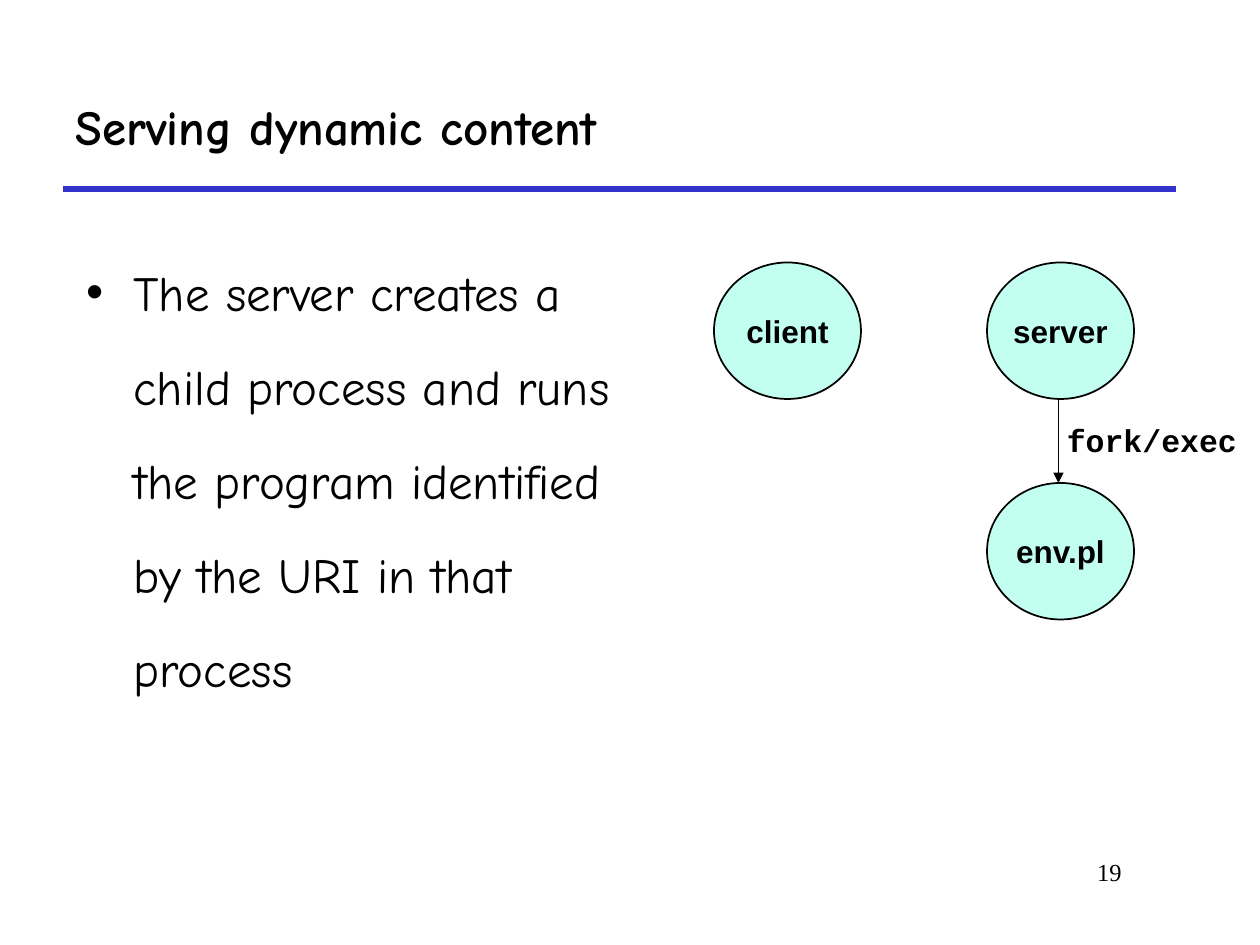
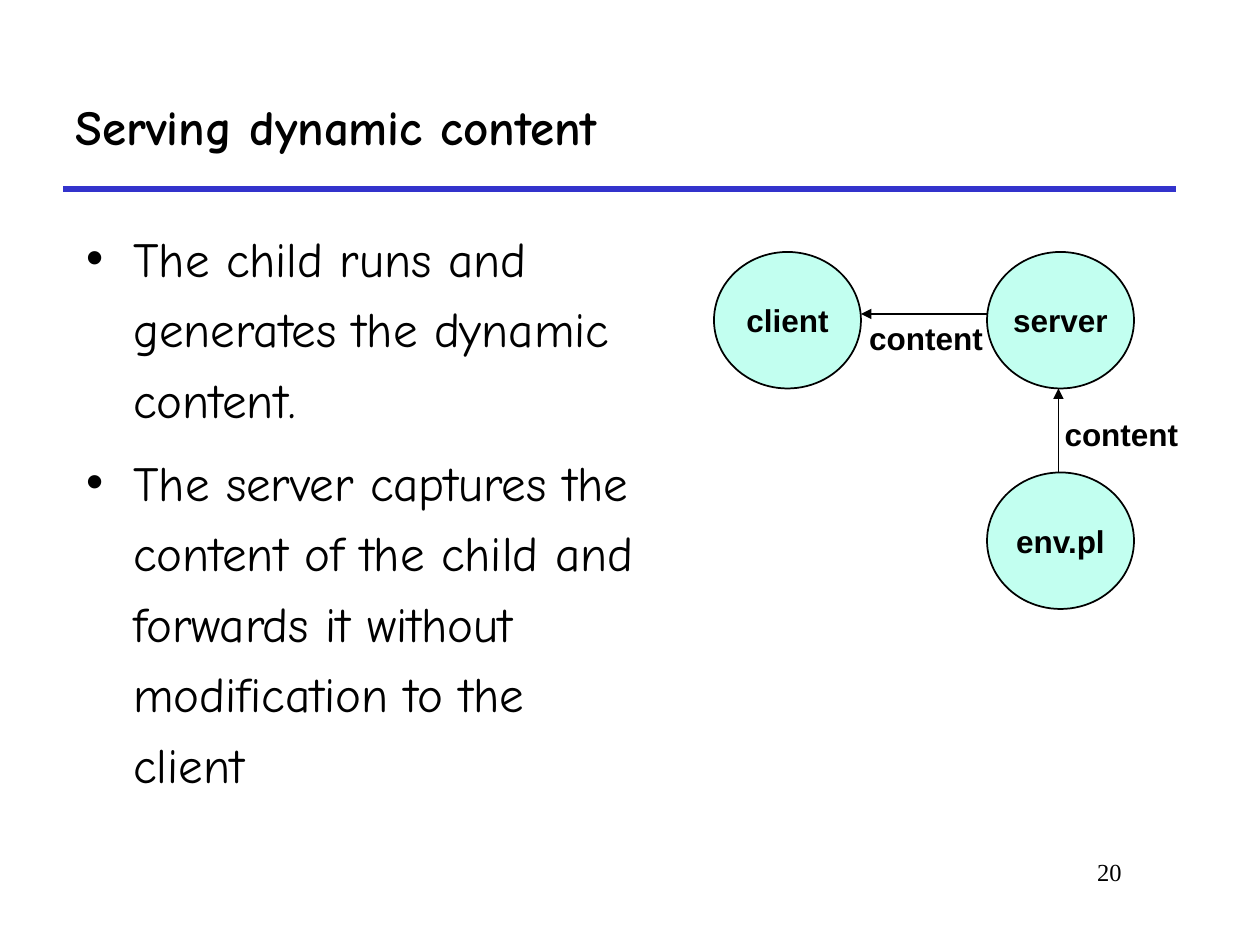
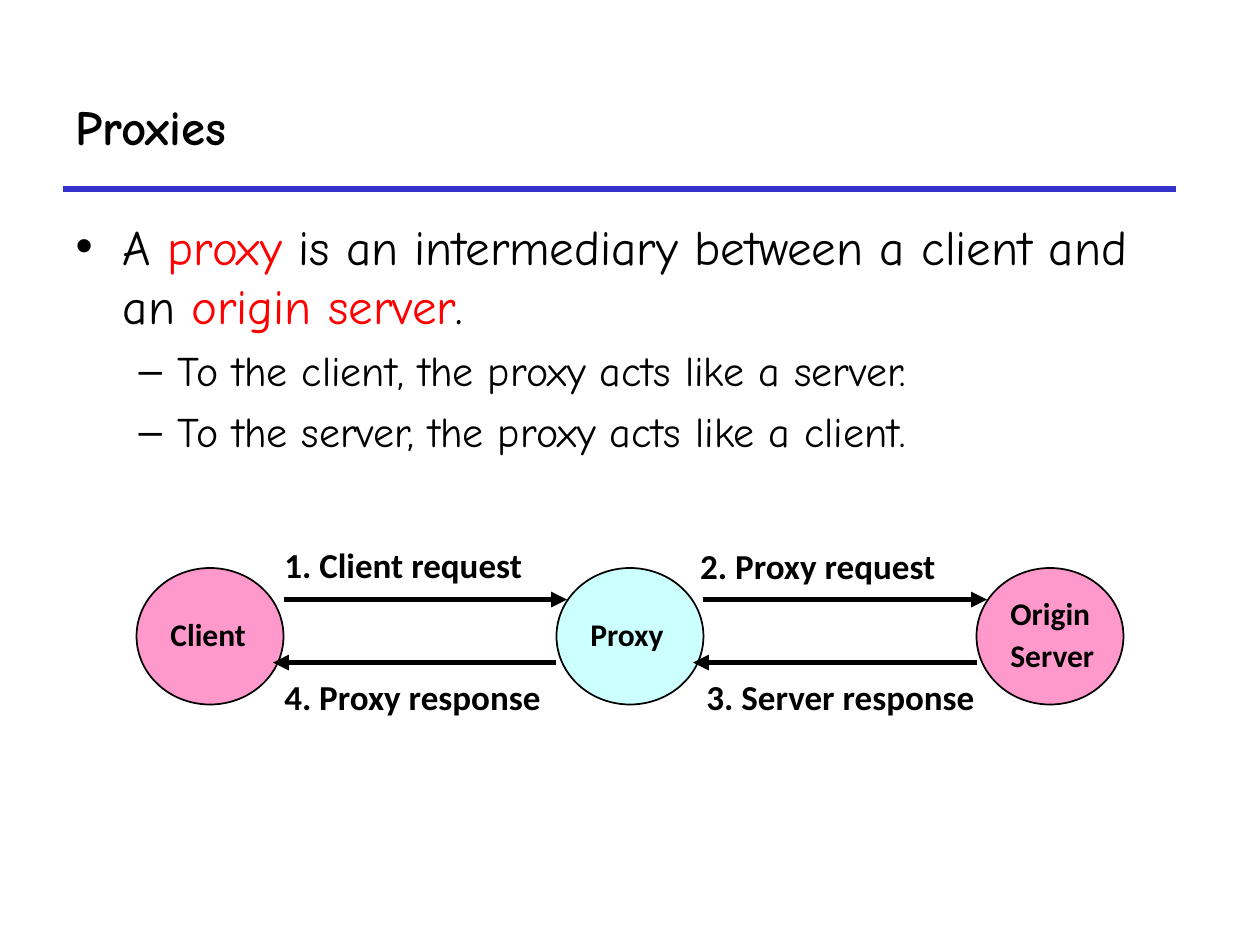
import dataclasses

import lxml.etree
import pptx
import pptx.dml.color
import pptx.enum.shapes
import pptx.enum.text
import pptx.oxml.ns
import pptx.util


@dataclasses.dataclass(frozen=True)
class Theme:
    ink: str = "000000"
    rule: str = "3333CC"
    accent: str = "FF0000"
    mint: str = "C2FFF0"
    pink: str = "FF99CC"
    cyan: str = "CCFFFF"
    heading_font: str = "Comic Neue"
    number_font: str = "Times New Roman"
    heading_size: int = 28
    sub_size: int = 24
    label_size: int = 20
    node_size: int = 18
    number_size: int = 14


theme = Theme()
align = pptx.enum.text.PP_ALIGN
anchor = pptx.enum.text.MSO_ANCHOR
straight = pptx.enum.shapes.MSO_CONNECTOR.STRAIGHT

presentation = pptx.Presentation()
presentation.slide_width = pptx.util.Inches(10)
presentation.slide_height = pptx.util.Inches(7.5)
column = presentation.slide_width / 120
row = presentation.slide_height / 90


def grid(*lengths):
    return [round(length * (row if index % 2 else column)) for index, length in enumerate(lengths)]


def format_text(text_frame, font, size, bold=True, alignment=align.CENTER, line_spacing=1.0, space_before=0):
    for paragraph in text_frame.paragraphs:
        paragraph.alignment = alignment
        paragraph.line_spacing = line_spacing
        paragraph.space_before = pptx.util.Pt(space_before)
        for run in paragraph.runs:
            run.font.name = font
            run.font.size = pptx.util.Pt(size)
            run.font.bold = bold
            run.font.color.rgb = pptx.dml.color.RGBColor.from_string(theme.ink)


fork_scene = {
    "title": "Serving dynamic content",
    "number": "19",
    "body_box": (7, 21, 57, 59),
    "body_spacing": 1.6,
    "body": [(0, "The server creates a child process and runs the program identified by the URI in that process")],
    "node_style": {"font": "Arial"},
    "nodes": [("client", 68, 25, theme.mint), ("server", 94, 25, theme.mint), ("env.pl", 94, 46, theme.mint)],
    "arrow_width": 1,
    "arrows": [(100.8, 38, 100.8, 46)],
    "label_style": {"font": "Courier New", "size": theme.node_size},
    "labels": [("fork/exec", 100.4, 39.5, 18.6)],
}
content_scene = {
    "title": "Serving dynamic content",
    "number": "20",
    "body_box": (7, 20, 56, 60),
    "body_spacing": 1.2,
    "body": [
        (0, "The child runs and generates the dynamic content."),
        (0, "The server captures the content of the child and forwards it without modification to the client"),
    ],
    "node_style": {"font": "Arial"},
    "nodes": [("client", 68, 24, theme.mint), ("server", 94, 24, theme.mint), ("env.pl", 94, 45, theme.mint)],
    "arrow_width": 1,
    "arrows": [(100.8, 45, 100.8, 37), (94, 29.9, 82, 29.9)],
    "label_style": {"font": "Arial", "size": theme.node_size},
    "labels": [("content", 100.2, 38.9, 13.2), ("content", 81.6, 29.8, 13.2)],
}
proxy_scene = {
    "title": "Proxies",
    "number": "",
    "body_box": (6, 20, 109, 52),
    "body_spacing": 1.0,
    "body": [
        (0, "A |proxy |is an intermediary between a client and an |origin server|."),
        (1, "To the client, the proxy acts like a server."),
        (1, "To the server, the proxy acts like a client."),
    ],
    "node_style": {"font": "Calibri", "alignment": align.LEFT, "line_spacing": 0.9, "space_before": 4.5},
    "nodes": [
        ("Client", 13, 54.1, theme.pink),
        ("Proxy", 53, 54.1, theme.cyan),
        ("Origin\nServer", 93, 54.1, theme.pink),
    ],
    "arrow_width": 3,
    "arrows": [(27, 57.1, 54, 57.1), (67, 57.1, 94, 57.1), (93, 63.1, 66, 63.1), (53, 63.1, 26, 63.1)],
    "label_style": {
        "font": "Calibri", "size": theme.label_size, "alignment": align.LEFT,
        "line_spacing": 0.9, "space_before": 5,
    },
    "labels": [
        ("1. Client request", 25.9, 51.6, 29.6),
        ("2. Proxy request", 65.5, 51.7, 29.4),
        ("3. Server response", 66.1, 64.2, 32.9),
        ("4. Proxy response", 25.9, 64.2, 31.7),
    ],
}

layout = presentation.slide_layouts[1]
layout_title = layout.placeholders[0]
layout_title.left, layout_title.top, layout_title.width, layout_title.height = grid(6, 6, 106, 12)

for scene in (fork_scene, content_scene, proxy_scene):
    slide = presentation.slides.add_slide(layout)

    title = slide.shapes.title
    title.text_frame.text = scene["title"]
    title.text_frame.vertical_anchor = anchor.MIDDLE
    title.text_frame.auto_size = pptx.enum.text.MSO_AUTO_SIZE.NONE
    format_text(title.text_frame, theme.heading_font, theme.heading_size, alignment=align.LEFT)

    body = slide.placeholders[1]
    body.left, body.top, body.width, body.height = grid(*scene["body_box"])
    body.text_frame.text = "\n".join(text.replace("|", "") for level, text in scene["body"])
    body.text_frame.auto_size = pptx.enum.text.MSO_AUTO_SIZE.NONE
    for paragraph, (level, text) in zip(body.text_frame.paragraphs, scene["body"]):
        paragraph.level = level
        pieces = text.split("|")
        paragraph.runs[0].text = pieces[0]
        for piece in pieces[1:]:
            paragraph.add_run().text = piece
    format_text(body.text_frame, theme.heading_font, theme.heading_size, False, align.LEFT, scene["body_spacing"], 7)
    for paragraph in body.text_frame.paragraphs:
        if paragraph.level:
            paragraph.space_before = pptx.util.Pt(6)
            for run in paragraph.runs:
                run.font.size = pptx.util.Pt(theme.sub_size)
        for run in paragraph.runs[1::2]:
            run.font.color.rgb = pptx.dml.color.RGBColor.from_string(theme.accent)

    for text, left, top, fill in scene["nodes"]:
        node = slide.shapes.add_shape(pptx.enum.shapes.MSO_SHAPE.OVAL, *grid(left, top, 14, 13))
        node.shadow.inherit = False
        node.fill.solid()
        node.fill.fore_color.rgb = pptx.dml.color.RGBColor.from_string(fill)
        node.line.color.rgb = pptx.dml.color.RGBColor.from_string(theme.ink)
        node.line.width = pptx.util.Pt(1)
        node.text_frame.text = text
        node.text_frame.word_wrap = False
        node.text_frame.vertical_anchor = anchor.MIDDLE
        format_text(node.text_frame, size=theme.node_size, **scene["node_style"])

    lines = [((6, 18, 112, 18), theme.rule, 3, False)]
    lines += [(ends, theme.ink, scene["arrow_width"], True) for ends in scene["arrows"]]
    for ends, color, width, has_head in lines:
        connector = slide.shapes.add_connector(straight, *grid(*ends))
        connector.line.color.rgb = pptx.dml.color.RGBColor.from_string(color)
        connector.line.width = pptx.util.Pt(width)
        if has_head:
            outline = connector.line._get_or_add_ln()
            lxml.etree.SubElement(outline, pptx.oxml.ns.qn("a:tailEnd"), type="triangle")
        lxml.etree.SubElement(connector.element.spPr, pptx.oxml.ns.qn("a:effectLst"))

    for text, left, top, width in scene["labels"]:
        label = slide.shapes.add_textbox(*grid(left, top, width, 4.8))
        label.text_frame.text = text
        label.text_frame.word_wrap = True
        if scene["label_style"].get("alignment") is None:
            label.text_frame.vertical_anchor = anchor.MIDDLE
        format_text(label.text_frame, **scene["label_style"])

    if scene["number"]:
        number = slide.shapes.add_textbox(*grid(91, 81, 17, 6))
        number.text_frame.text = scene["number"]
        number.text_frame.word_wrap = True
        format_text(number.text_frame, theme.number_font, theme.number_size, False, align.RIGHT)

presentation.save("out.pptx")
